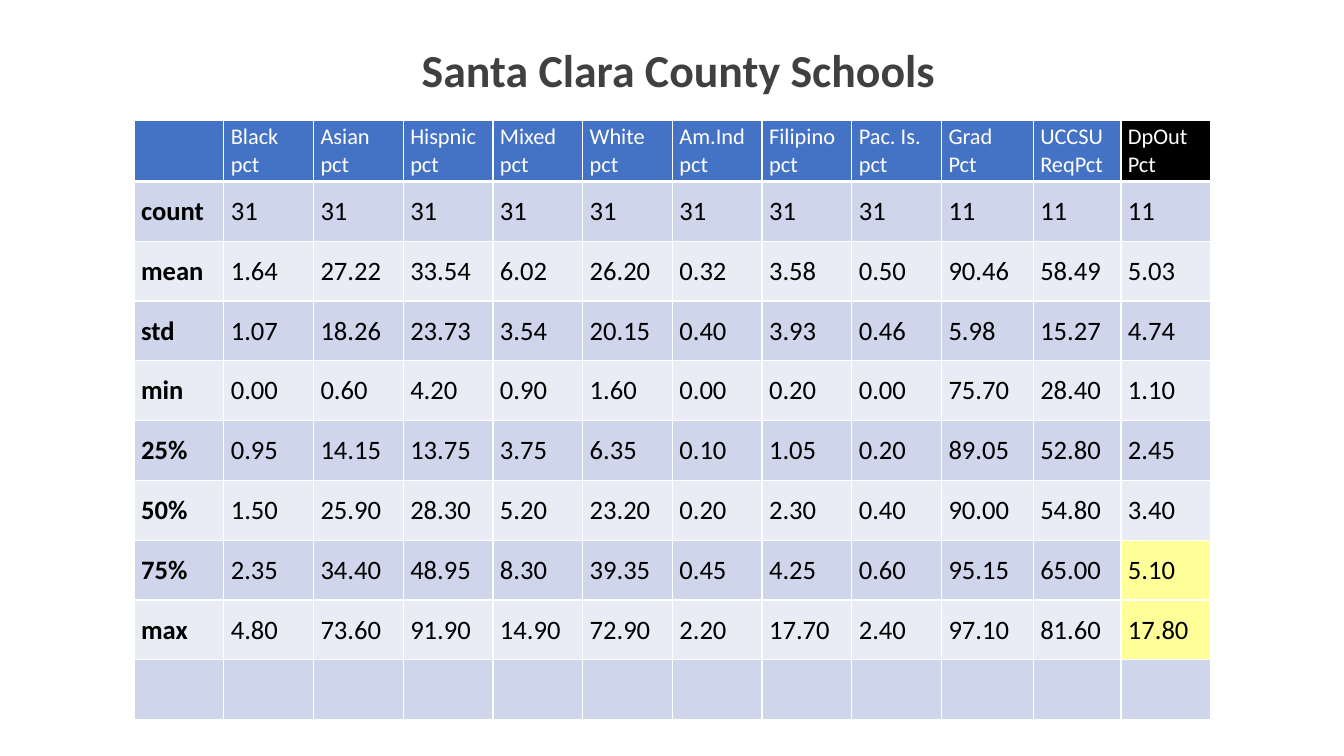
from lxml import etree
from pptx import Presentation
from pptx import util as u
from pptx.dml.color import RGBColor
from pptx.enum import text
from pptx.oxml import ns

WHITE = RGBColor(0xFF, 0xFF, 0xFF)
BLACK = RGBColor(0x00, 0x00, 0x00)
GRAY = RGBColor(0x40, 0x40, 0x40)
BLUE = RGBColor(0x44, 0x72, 0xC4)
DARK_BAND = RGBColor(0xCF, 0xD5, 0xEA)
LIGHT_BAND = RGBColor(0xE9, 0xEB, 0xF5)
YELLOW = RGBColor(0xFF, 0xFF, 0x99)

HEADERS = ["", "Black\npct", "Asian\npct", "Hispnic\npct", "Mixed\npct", "White\npct",
           "Am.Ind\npct", "Filipino\npct", "Pac. Is.\npct", "Grad\nPct",
           "UCCSU\nReqPct", "DpOut\nPct"]
STATISTICS = [
    ["count"] + ["31"] * 8 + ["11"] * 3,
    "mean 1.64 27.22 33.54 6.02 26.20 0.32 3.58 0.50 90.46 58.49 5.03".split(),
    "std 1.07 18.26 23.73 3.54 20.15 0.40 3.93 0.46 5.98 15.27 4.74".split(),
    "min 0.00 0.60 4.20 0.90 1.60 0.00 0.20 0.00 75.70 28.40 1.10".split(),
    "25% 0.95 14.15 13.75 3.75 6.35 0.10 1.05 0.20 89.05 52.80 2.45".split(),
    "50% 1.50 25.90 28.30 5.20 23.20 0.20 2.30 0.40 90.00 54.80 3.40".split(),
    "75% 2.35 34.40 48.95 8.30 39.35 0.45 4.25 0.60 95.15 65.00 5.10".split(),
    "max 4.80 73.60 91.90 14.90 72.90 2.20 17.70 2.40 97.10 81.60 17.80".split(),
    [""] * 12,
]
COLUMN_WIDTHS = [0.89] * 9 + [0.91, 0.87, 0.89]
HEADER_HEIGHT = 0.61
TABLE_HEIGHT = 5.95
DROPOUT = len(HEADERS) - 1
HIGHLIGHTED = {("75%", DROPOUT), ("max", DROPOUT)}


class SchoolSlide:
    """Draws the elements of the school statistics slide in one style."""

    font_name = "Calibri"

    def __init__(self, slide):
        self.slide = slide

    def style(self, paragraph, size, color, bold=False):
        font = paragraph.font
        font.name, font.size, font.bold = self.font_name, u.Pt(size), bold
        font.color.rgb = color

    def title(self, wording, left, top, width, height):
        title = self.slide.shapes.title
        title.left, title.top = u.Inches(left), u.Inches(top)
        title.width, title.height = u.Inches(width), u.Inches(height)
        frame = title.text_frame
        frame.text = wording
        frame.word_wrap = False
        frame.vertical_anchor = text.MSO_ANCHOR.MIDDLE
        heading = frame.paragraphs[0]
        heading.alignment = text.PP_ALIGN.CENTER
        self.style(heading, 32.7, GRAY, True)

    def borders(self, cell, bottom_width):
        properties = cell._tc.get_or_add_tcPr()
        for side, width in (("L", 1), ("R", 1), ("T", 1), ("B", bottom_width)):
            line = etree.SubElement(properties, ns.qn(f"a:ln{side}"), w=str(u.Pt(width)))
            fill = etree.SubElement(line, ns.qn("a:solidFill"))
            etree.SubElement(fill, ns.qn("a:srgbClr"), val=str(WHITE))

    def cell(self, cell, wording, fill, size, color, bold=False, bottom_width=1):
        self.borders(cell, bottom_width)
        cell.fill.solid()
        cell.fill.fore_color.rgb = fill
        cell.margin_left = cell.margin_right = u.Inches(0.07)
        cell.margin_top = cell.margin_bottom = u.Inches(0.03)
        cell.vertical_anchor = text.MSO_ANCHOR.MIDDLE
        cell.text = wording
        for paragraph in cell.text_frame.paragraphs:
            self.style(paragraph, size, color, bold)

    def table(self, left, top):
        statistics = self.slide.shapes.add_table(
            len(STATISTICS) + 1, len(HEADERS), u.Inches(left), u.Inches(top),
            u.Inches(sum(COLUMN_WIDTHS)), u.Inches(TABLE_HEIGHT)).table
        for column, width in zip(statistics.columns, COLUMN_WIDTHS):
            column.width = u.Inches(width)
        row_height = (TABLE_HEIGHT - HEADER_HEIGHT) / len(STATISTICS)
        for index, row in enumerate(statistics.rows):
            row.height = u.Inches(row_height if index else HEADER_HEIGHT)
        for col, header in enumerate(HEADERS):
            fill = BLACK if col == DROPOUT else BLUE
            self.cell(statistics.cell(0, col), header, fill, 16, WHITE, bottom_width=3)
        for row, values in enumerate(STATISTICS, 1):
            band = DARK_BAND if row % 2 else LIGHT_BAND
            for col, value in enumerate(values):
                fill = YELLOW if (values[0], col) in HIGHLIGHTED else band
                self.cell(statistics.cell(row, col), value, fill, 19, BLACK, col == 0)


def main():
    deck = Presentation()
    deck.slide_width, deck.slide_height = u.Inches(13.33), u.Inches(7.5)
    schools = SchoolSlide(deck.slides.add_slide(deck.slide_layouts[5]))
    schools.title("Santa Clara County Schools", 4.08, 0.36, 5.3, 0.65)
    schools.table(1.33, 1.19)
    deck.save("out.pptx")


if __name__ == "__main__":
    main()
